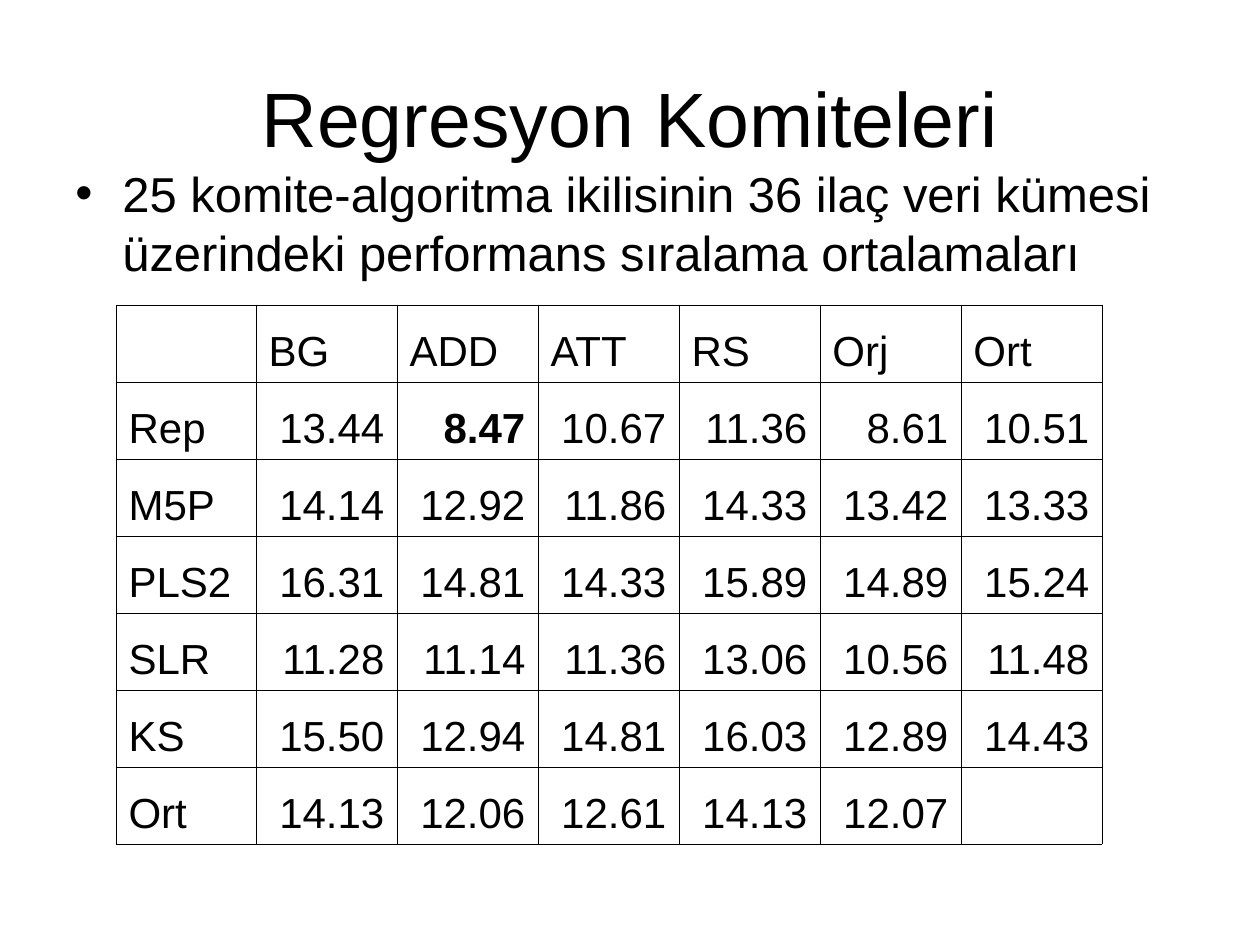
from lxml import etree
from pptx import Presentation
from pptx.dml.color import RGBColor
from pptx.enum.text import MSO_ANCHOR, PP_ALIGN
from pptx.oxml.ns import qn
from pptx.util import Emu, Pt

LEFT, CENTER, RIGHT = PP_ALIGN.LEFT, PP_ALIGN.CENTER, PP_ALIGN.RIGHT
TOP, MIDDLE, BOTTOM = MSO_ANCHOR.TOP, MSO_ANCHOR.MIDDLE, MSO_ANCHOR.BOTTOM

TITLE = "Regresyon Komiteleri"
SUMMARY = ("25 komite-algoritma ikilisinin 36 ilaç veri kümesi "
           "üzerindeki performans sıralama ortalamaları")
RANKS = [
    ["", "BG", "ADD", "ATT", "RS", "Orj", "Ort"],
    ["Rep", "13.44", "8.47", "10.67", "11.36", "8.61", "10.51"],
    ["M5P", "14.14", "12.92", "11.86", "14.33", "13.42", "13.33"],
    ["PLS2", "16.31", "14.81", "14.33", "15.89", "14.89", "15.24"],
    ["SLR", "11.28", "11.14", "11.36", "13.06", "10.56", "11.48"],
    ["KS", "15.50", "12.94", "14.81", "16.03", "12.89", "14.43"],
    ["Ort", "14.13", "12.06", "12.61", "14.13", "12.07", ""],
]
BEST = (1, 2)  # row and column of the best rank

FONT = "Arial"
INK = "000000"
TITLE_BOX = (63, 38, 1134, 157)
SUMMARY_BOX = (63, 157, 1144, 624)
TABLE_LEFT, TABLE_TOP = 116, 305
COLUMN_WIDTHS = [140] + [141] * 6
ROW_HEIGHT = 77
BULLET_INDENT = 47


def px(length):
    return Emu(round(length * 914400 / 126))


def color(hex_code):
    return RGBColor.from_string(hex_code)


def style(paragraph, size, align=LEFT, bold=False):
    paragraph.alignment = align
    font = paragraph.font
    font.name, font.size, font.bold = FONT, Pt(size), bold
    font.color.rgb = color(INK)


def add_text(slide, box, text, anchor):
    frame = slide.shapes.add_textbox(*map(px, box)).text_frame
    frame.word_wrap = True
    frame.vertical_anchor = anchor
    paragraph = frame.paragraphs[0]
    paragraph.text = text
    return paragraph


def add_bullet(paragraph):
    properties = paragraph._p.get_or_add_pPr()
    properties.set("marL", str(px(BULLET_INDENT)))
    properties.set("indent", str(-px(BULLET_INDENT)))
    etree.SubElement(properties, qn("a:buFont"), typeface=FONT)
    etree.SubElement(properties, qn("a:buChar"), char="•")


def add_borders(cell):
    """Draw a thin line on all four sides; call before setting the fill."""
    properties = cell._tc.get_or_add_tcPr()
    for side in ("lnL", "lnR", "lnT", "lnB"):
        line = etree.SubElement(properties, qn(f"a:{side}"), w=str(Pt(0.45)))
        fill = etree.SubElement(line, qn("a:solidFill"))
        etree.SubElement(fill, qn("a:srgbClr"), val=INK)


def add_rank_table(slide):
    table = slide.shapes.add_table(
        len(RANKS), len(COLUMN_WIDTHS), px(TABLE_LEFT), px(TABLE_TOP),
        px(sum(COLUMN_WIDTHS)), px(ROW_HEIGHT * len(RANKS))).table
    table.first_row = table.horz_banding = False
    for column, width in zip(table.columns, COLUMN_WIDTHS):
        column.width = px(width)
    for r, ranks in enumerate(RANKS):
        table.rows[r].height = px(ROW_HEIGHT)
        for c, text in enumerate(ranks):
            cell = table.cell(r, c)
            cell.text = text
            cell.vertical_anchor = BOTTOM
            add_borders(cell)
            cell.fill.background()
            align = RIGHT if r and c else LEFT
            style(cell.text_frame.paragraphs[0], 24, align, (r, c) == BEST)


def main():
    deck = Presentation()
    deck.slide_width, deck.slide_height = px(1260), px(945)
    slide = deck.slides.add_slide(deck.slide_layouts[6])

    style(add_text(slide, TITLE_BOX, TITLE, MIDDLE), 44, CENTER)
    summary = add_text(slide, SUMMARY_BOX, SUMMARY, TOP)
    add_bullet(summary)
    style(summary, 28)
    add_rank_table(slide)

    deck.save("out.pptx")


if __name__ == "__main__":
    main()
